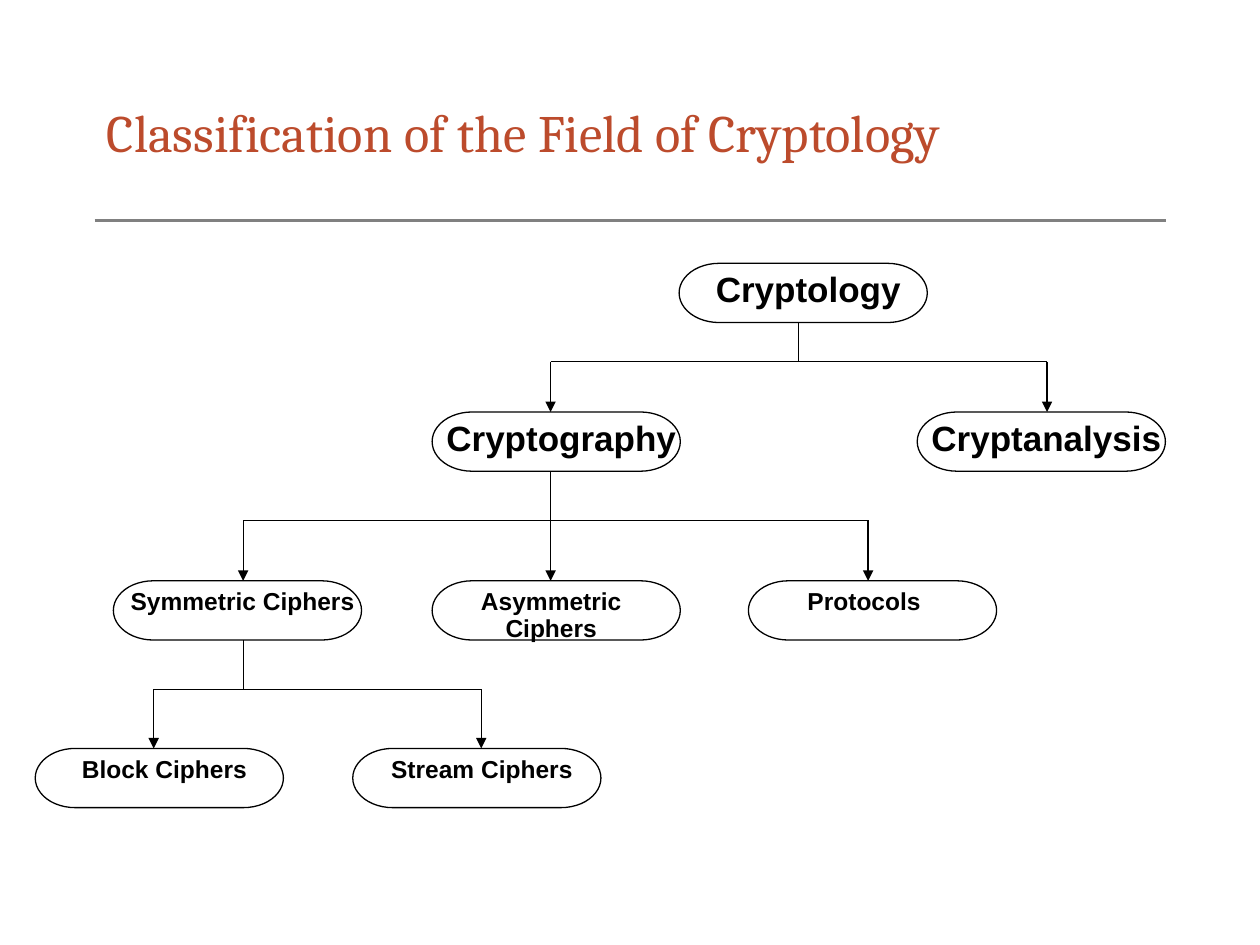
from lxml import etree
from pptx import Presentation
from pptx.dml.color import RGBColor
from pptx.enum.shapes import MSO_CONNECTOR, MSO_SHAPE
from pptx.enum.text import MSO_ANCHOR, PP_ALIGN
from pptx.oxml.ns import qn
from pptx.util import Inches, Pt

TERMINATOR = MSO_SHAPE.FLOWCHART_TERMINATOR
STRAIGHT = MSO_CONNECTOR.STRAIGHT
MIDDLE, TOP = MSO_ANCHOR.MIDDLE, MSO_ANCHOR.TOP
CENTER, LEFT = PP_ALIGN.CENTER, PP_ALIGN.LEFT


def color(value):
    return RGBColor.from_string(value)


class TreeSlide:
    """Style and drawing methods for a classification tree."""

    black, gray, accent = "000000", "808080", "BC4B2C"
    body_font, title_font = "Arial", "Cambria"
    node_width, node_height = 1.97, 0.47
    label_width, label_drop = 1.89, 0.07

    def __init__(self, slide):
        self.slide = slide

    def text(self, x, y, width, height, words, size, font, ink,
             bold=False, align=LEFT, anchor=TOP, inset=None, spacing=None):
        box = self.slide.shapes.add_textbox(
            Inches(x), Inches(y), Inches(width), Inches(height))
        frame = box.text_frame
        frame.word_wrap = True
        frame.vertical_anchor = anchor
        if inset is not None:
            frame.margin_left = frame.margin_right = Inches(inset)
            frame.margin_top = frame.margin_bottom = Inches(inset)
        paragraph = frame.paragraphs[0]
        paragraph.alignment = align
        paragraph.line_spacing = spacing
        run = paragraph.add_run()
        run.text = words
        run.font.name = font
        run.font.size = Pt(size)
        run.font.bold = bold
        run.font.color.rgb = color(ink)

    def title(self, words):
        self.text(0.75, 0.5, 8.5, 1.08, words, 30, self.title_font,
                  self.accent, anchor=MIDDLE)

    def node(self, x, y, words, size, label_shift=0.08):
        shape = self.slide.shapes.add_shape(
            TERMINATOR, Inches(x), Inches(y),
            Inches(self.node_width), Inches(self.node_height))
        shape.shadow.inherit = False
        shape.fill.background()
        shape.line.color.rgb = color(self.black)
        shape.line.width = Pt(0.75)
        self.text(x + label_shift, y + self.label_drop, self.label_width,
                  size * 0.015, words, size, self.body_font, self.black,
                  bold=True, align=CENTER, inset=0, spacing=0.9)

    def line(self, x1, y1, x2, y2, ink=black, width=0.75, arrow=False):
        connector = self.slide.shapes.add_connector(
            STRAIGHT, Inches(x1), Inches(y1), Inches(x2), Inches(y2))
        connector.line.color.rgb = color(ink)
        connector.line.width = Pt(width)
        if arrow:
            outline = connector.line._get_or_add_ln()
            etree.SubElement(outline, qn("a:tailEnd"), type="triangle")
        etree.SubElement(connector._element.spPr, qn("a:effectLst"))

    def branch(self, parent_x, top, bus_y, bottom, child_xs):
        self.line(parent_x, top, parent_x, bus_y)
        self.line(min(child_xs), bus_y, max(child_xs), bus_y)
        for x in child_xs:
            self.line(x, bus_y, x, bottom, arrow=True)


def main():
    presentation = Presentation()
    presentation.slide_width = Inches(10)
    presentation.slide_height = Inches(7.5)
    tree = TreeSlide(presentation.slides.add_slide(presentation.slide_layouts[6]))

    # Heading and rule
    tree.line(0.75, 1.75, 9.25, 1.75, ink=tree.gray, width=2)
    tree.title("Classification of the Field of Cryptology")

    # Fields
    tree.node(5.39, 2.09, "Cryptology", 20)
    tree.node(3.43, 3.27, "Cryptography", 20)
    tree.node(7.28, 3.27, "Cryptanalysis", 20)

    # Branches of cryptography
    tree.node(0.9, 4.61, "Symmetric Ciphers", 14)
    tree.node(3.43, 4.61, "Asymmetric Ciphers", 14, label_shift=0)
    tree.node(5.94, 4.61, "Protocols ", 14, label_shift=0)

    # Symmetric cipher types
    tree.node(0.28, 5.94, "Block Ciphers", 14)
    tree.node(2.8, 5.94, "Stream Ciphers", 14)

    # Links between levels
    tree.branch(6.34, 2.56, 2.87, 3.27, (4.37, 8.31))
    tree.branch(4.37, 3.74, 4.13, 4.61, (1.93, 4.37, 6.89))
    tree.branch(1.93, 5.08, 5.47, 5.94, (1.22, 3.82))

    presentation.save("out.pptx")


if __name__ == "__main__":
    main()
